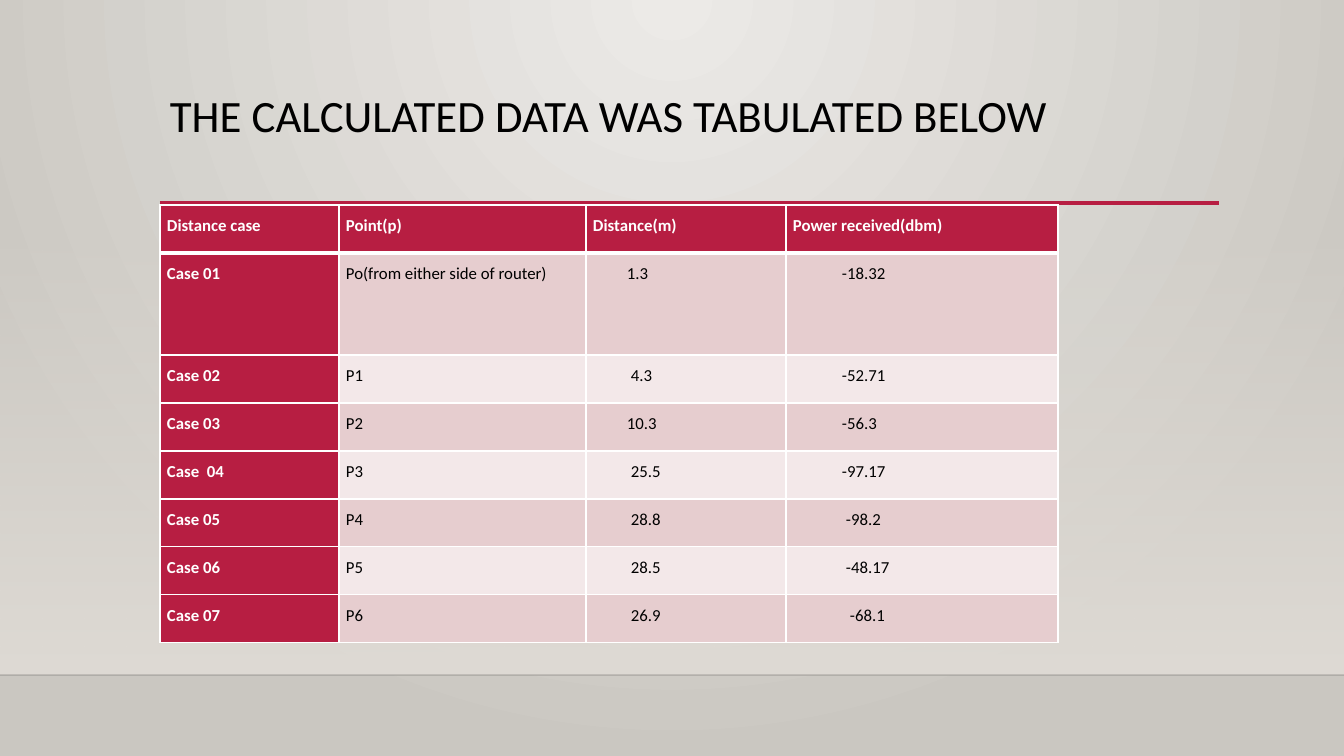
import pptx
import pptx.util
import pptx.dml.color
import pptx.enum.shapes
import pptx.enum.text
import pptx.oxml.ns
from lxml import etree

# Content: each reading is case, point, (distance, indent), (power, indent); indents in px
TITLE = "THE CALCULATED DATA WAS TABULATED BELOW"
HEADINGS = ["Distance case", "Point(p)", "Distance(m)", "Power received(dbm)"]
READINGS = [
    ("Case 01", "Po(from either side of router)", ("1.3", 34), ("-18.32", 49)),
    ("Case 02", "P1", ("4.3", 38), ("-52.71", 49)),
    ("Case 03", "P2", ("10.3", 34), ("-56.3", 49)),
    ("Case  04", "P3", ("25.5", 38), ("-97.17", 49)),
    ("Case 05", "P4", ("28.8", 38), ("-98.2", 53)),
    ("Case 06", "P5", ("28.5", 38), ("-48.17", 53)),
    ("Case 07", "P6", ("26.9", 38), ("-68.1", 57)),
]
COLUMN_WIDTHS = [179, 247, 200, 272]
ROW_HEIGHTS = [48, 102] + [48] * 6

FONT = "Calibri"
RED, WHITE, BLACK = "B71E42", "FFFFFF", "000000"
BANDS = ["E6CDCF", "F3E8E9"]
WIDTH, HEIGHT, FLOOR = 1344, 756, 675
LEFT = 160


def px(length):
    return pptx.util.Emu(round(length * 914400 / 100.8))


def rgb(value):
    return pptx.dml.color.RGBColor.from_string(value)


def add_child(parent, tag, **attributes):
    child = etree.SubElement(parent, pptx.oxml.ns.qn(tag))
    for name, value in attributes.items():
        child.set(name, str(value))
    return child


def write(frame, text, size, color, bold=False, spacing=1.0, after=0, indent=0, align=None):
    para = frame.paragraphs[0]
    para.line_spacing = spacing
    para.space_before = pptx.util.Pt(0)
    para.space_after = pptx.util.Pt(after)
    para.alignment = align
    if indent:
        para._p.get_or_add_pPr().set("marL", str(px(indent)))
    span = para.add_run()
    span.text = text
    span.font.name, span.font.size = FONT, pptx.util.Pt(size)
    span.font.bold, span.font.color.rgb = bold, rgb(color)


def fill_gradient(fill, colors):
    fill.gradient()
    for stop, color in zip(fill.gradient_stops, colors):
        stop.color.rgb = rgb(color)


def add_rule(left, right, y, color, width):
    rule = page.shapes.add_connector(
        pptx.enum.shapes.MSO_CONNECTOR.STRAIGHT, px(left), px(y), px(right), px(y))
    rule.line.color.rgb = rgb(color)
    rule.line.width = pptx.util.Pt(width)
    add_child(rule._element.spPr, "a:effectLst")
    return rule


def add_borders(cell, widths):
    properties = cell._tc.get_or_add_tcPr()
    for side, width in widths.items():
        edge = add_child(properties, "a:ln" + side, w=pptx.util.Pt(width))
        add_child(add_child(edge, "a:solidFill"), "a:srgbClr", val=WHITE)


deck = pptx.Presentation()
deck.slide_width, deck.slide_height = px(WIDTH), px(HEIGHT)
page = deck.slides.add_slide(deck.slide_layouts[6])

# Background glow from the top centre
fill_gradient(page.background.fill, ["ECEAE7", "CAC7C1"])
glow = page.element.xpath(".//p:bg//a:gradFill")[0]
glow.remove(glow.find(pptx.oxml.ns.qn("a:lin")))
circle = add_child(glow, "a:path", path="circle")
add_child(circle, "a:fillToRect", l=43000, t=0, r=43000, b=100000)

# Wall fading in towards the floor line
wall = page.shapes.add_shape(
    pptx.enum.shapes.MSO_SHAPE.RECTANGLE, 0, px(223), px(WIDTH), px(FLOOR - 223))
wall.shadow.inherit = False
wall.line.fill.background()
fill_gradient(wall.fill, ["DFDBD5", "DFDBD5"])
wall.fill.gradient_angle = 270
add_child(wall._element.xpath(".//a:gs/a:srgbClr")[0], "a:alpha", val=0)

floor = add_rule(0, WIDTH, FLOOR, "000001", 1)
add_child(floor._element.xpath(".//a:ln//a:srgbClr")[0], "a:alpha", val=20000)
add_rule(LEFT, 1219, 203, RED, 2.5)

# Title
box = page.shapes.add_textbox(px(LEFT), px(89), px(1058), px(116))
box.text_frame.word_wrap = True
write(box.text_frame, TITLE, 32, BLACK, spacing=0.9)

# Table
rows = [HEADINGS] + READINGS
table = page.shapes.add_table(
    len(rows), len(HEADINGS), px(LEFT), px(205),
    px(sum(COLUMN_WIDTHS)), px(sum(ROW_HEIGHTS))).table
for column, width in zip(table.columns, COLUMN_WIDTHS):
    column.width = px(width)
for row, height in zip(table.rows, ROW_HEIGHTS):
    row.height = px(height)

for r, entries in enumerate(rows):
    for c, entry in enumerate(entries):
        text, indent = entry if isinstance(entry, tuple) else (entry, 0)
        heading = r == 0 or c == 0
        cell = table.cell(r, c)
        cell.margin_left = cell.margin_right = px(7)
        cell.margin_top = cell.margin_bottom = 0
        add_borders(cell, {"L": 1, "R": 1, "T": 3 if r == 1 else 1, "B": 3 if r == 0 else 1})
        cell.fill.solid()
        cell.fill.fore_color.rgb = rgb(RED if heading else BANDS[(r - 1) % 2])
        write(cell.text_frame, text, 12, WHITE if heading else BLACK, bold=heading,
              spacing=1.5, after=3, indent=indent, align=pptx.enum.text.PP_ALIGN.JUSTIFY)

deck.save("out.pptx")
